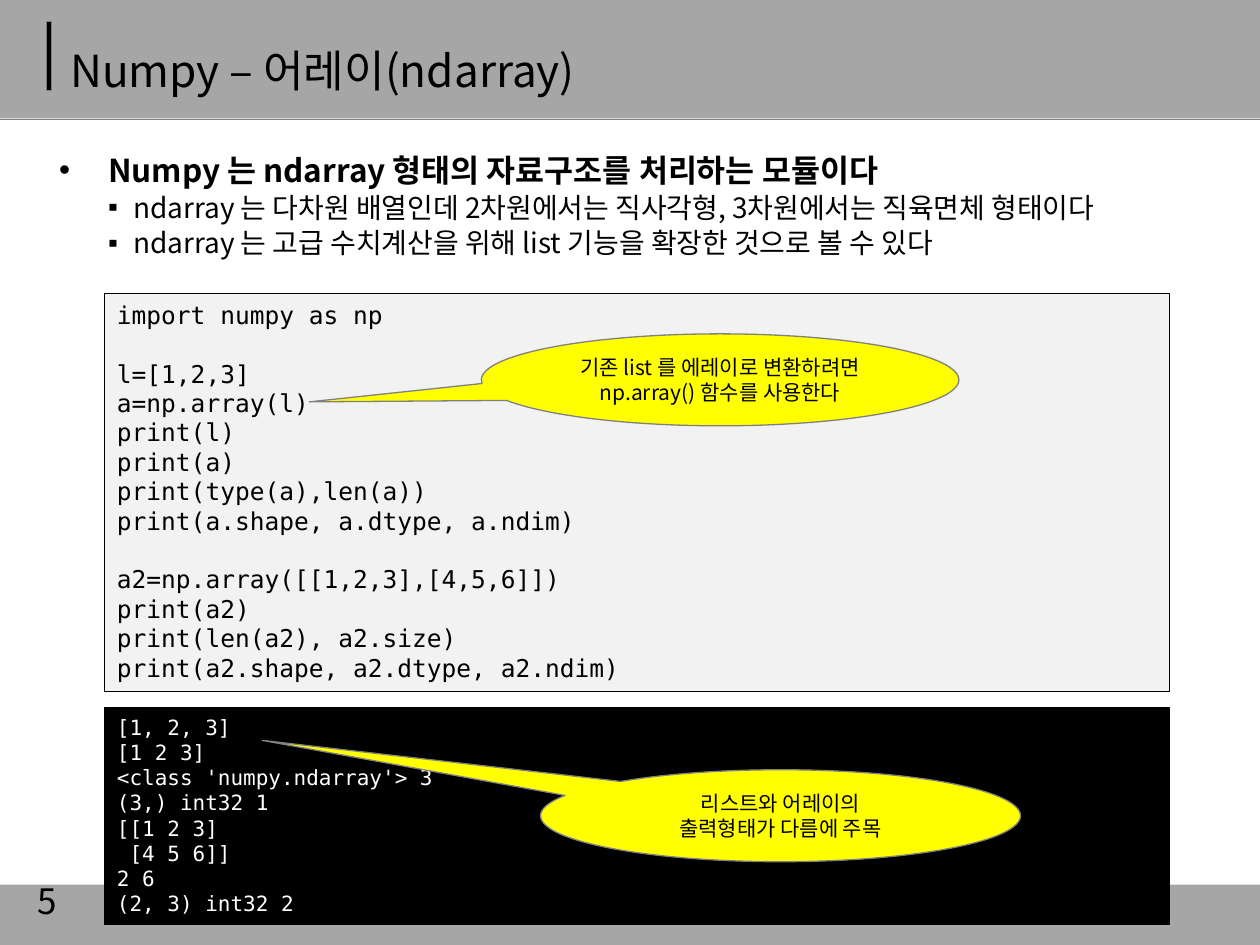
from lxml.etree import SubElement
from pptx import Presentation
from pptx.dml.color import RGBColor
from pptx.enum.shapes import MSO_CONNECTOR, MSO_SHAPE
from pptx.enum.text import MSO_ANCHOR, PP_ALIGN
from pptx.oxml.ns import qn
from pptx.util import Pt

SANS = "Noto Sans CJK KR"
MONO = "DejaVu Sans Mono"
rgb = RGBColor.from_string

deck = Presentation()
deck.slide_width, deck.slide_height = Pt(720), Pt(540)
slide = deck.slides.add_slide(deck.slide_layouts[6])
shapes = slide.shapes


def block(kind, left, top, width, height, fill, line=None):
    """Add a filled shape with an optional thin outline."""
    shape = shapes.add_shape(kind, Pt(left), Pt(top), Pt(width), Pt(height))
    shape.shadow.inherit = False
    shape.fill.solid()
    shape.fill.fore_color.rgb = rgb(fill)
    if line:
        shape.line.color.rgb = rgb(line)
        shape.line.width = Pt(0.75)
    else:
        shape.line.fill.background()
    return shape


def write(shape, text, size, face=SANS, color="000000",
          align=PP_ALIGN.LEFT, anchor=MSO_ANCHOR.MIDDLE, wrap=True):
    """Fill a shape with one paragraph per line of text."""
    frame = shape.text_frame
    frame.word_wrap = wrap
    frame.vertical_anchor = anchor
    frame.text = text
    for para in frame.paragraphs:
        para.alignment = align
        font = para.font
        font.size, font.name = Pt(size), face
        font.color.rgb = rgb(color)
        props = para._p.pPr.find(qn("a:defRPr"))
        SubElement(props, qn("a:ea")).set("typeface", face)
        if not para.runs:
            para._p.get_or_add_endParaRPr().set("sz", str(size * 100))
    return frame


# Header band, rule, accent bar and footer band
block(MSO_SHAPE.RECTANGLE, 0, -0.72, 720, 68.4, "A6A6A6")
rule = shapes.add_connector(MSO_CONNECTOR.STRAIGHT, 0, Pt(68.4), Pt(720), Pt(68.4))
rule.line.color.rgb = rgb("808080")
rule.line.width = Pt(0.75)
SubElement(rule._element.spPr, qn("a:effectLst"))
block(MSO_SHAPE.RECTANGLE, 26.64, 12.24, 2.88, 39.6, "000000", "808080")
block(MSO_SHAPE.RECTANGLE, 0, 505.44, 720, 34.56, "A6A6A6")

# Bullets: text, size, bold, level, bullet, margin, hang
points = [
    ("Numpy 는 ndarray 형태의 자료구조를 처리하는 모듈이다", 18, True, 0, "•", 28, 28),
    ("ndarray 는 다차원 배열인데 2차원에서는 직사각형, 3차원에서는 직육면체 형태이다",
     16, False, 1, "▪", 42.5, 14.4),
    ("ndarray 는 고급 수치계산을 위해 list 기능을 확장한 것으로 볼 수 있다",
     16, False, 1, "▪", 42.5, 14.4),
]
body = shapes.add_textbox(Pt(26.64), Pt(82.8), Pt(668.16), Pt(80)).text_frame
body.word_wrap = True
for i, (text, size, bold, level, mark, margin, hang) in enumerate(points):
    para = body.add_paragraph() if i else body.paragraphs[0]
    para.text = text
    para.level = level
    if i:
        para.space_before = Pt(1)
    props = para._p.get_or_add_pPr()
    props.set("marL", str(Pt(margin)))
    props.set("indent", str(-Pt(hang)))
    SubElement(props, qn("a:buFont")).set("typeface", "Arial")
    SubElement(props, qn("a:buChar")).set("char", mark)
    font = para.font
    font.size, font.bold, font.name = Pt(size), bold, SANS
    font.color.rgb = rgb("000000")
    SubElement(props.find(qn("a:defRPr")), qn("a:ea")).set("typeface", SANS)

# Title
title = shapes.add_textbox(Pt(33.12), Pt(10.08), Pt(620.64), Pt(44.64))
write(title, "Numpy – 어레이(ndarray)", 25.2).paragraphs[0].line_spacing = 1.5

# Code and its output
code = """import numpy as np

l=[1,2,3]
a=np.array(l)
print(l)
print(a)
print(type(a),len(a))
print(a.shape, a.dtype, a.ndim)

a2=np.array([[1,2,3],[4,5,6]])
print(a2)
print(len(a2), a2.size)
print(a2.shape, a2.dtype, a2.ndim)"""
result = """[1, 2, 3]
[1 2 3]
<class 'numpy.ndarray'> 3
(3,) int32 1
[[1 2 3]
 [4 5 6]]
2 6
(2, 3) int32 2"""
for text, top, height, fill, size, color in [
    (code, 167.76, 227.52, "F2F2F2", 14, "000000"),
    (result, 404.64, 123.84, "000000", 12, "FFFFFF"),
]:
    panel = block(MSO_SHAPE.RECTANGLE, 59.76, top, 608.4, height, fill, "000000")
    write(panel, text, size, MONO, color, anchor=MSO_ANCHOR.TOP)

# Callouts: text, left, top, width, tip offsets
for text, left, top, width, tip in [
    ("기존 list 를 에레이로 변환하려면\nnp.array() 함수를 사용한다",
     275.04, 190.8, 272.88, (-0.86, 0.24)),
    ("리스트와 어레이의\n출력형태가 다름에 주목",
     308.88, 439.92, 274.32, (-1.08, -0.82)),
]:
    note = block(MSO_SHAPE.OVAL_CALLOUT, left, top, width, 52.56, "FFFF00", "808080")
    note.adjustments[0], note.adjustments[1] = tip
    write(note, text, 12, align=PP_ALIGN.CENTER, wrap=False)

# Page number
page = shapes.add_textbox(Pt(14.4), Pt(500.4), Pt(167.76), Pt(28.8))
write(page, "5", 20)

deck.save("out.pptx")
